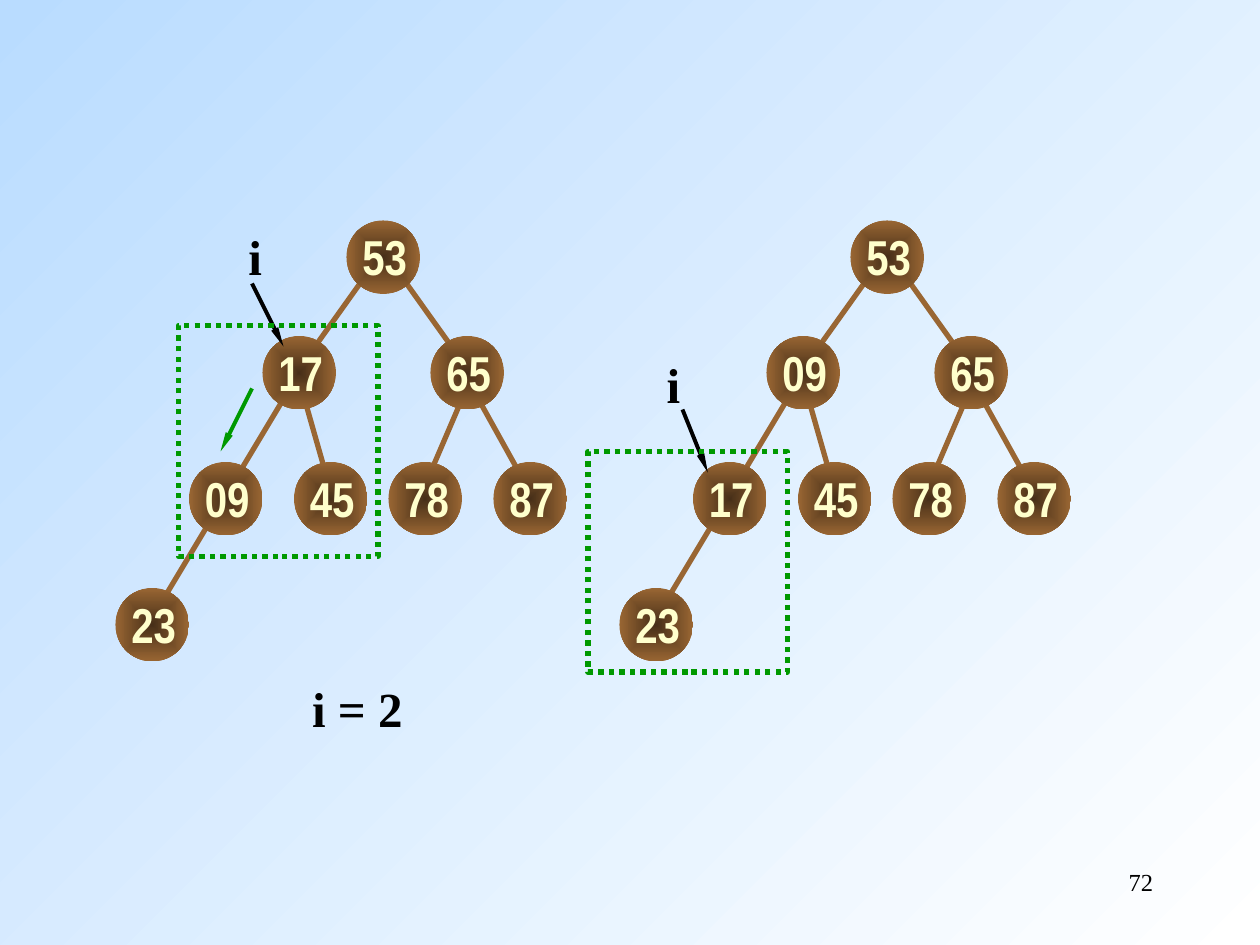
from dataclasses import dataclass

from lxml import etree
from pptx import Presentation
from pptx.dml.color import RGBColor
from pptx.enum.dml import MSO_LINE
from pptx.enum.shapes import MSO_CONNECTOR, MSO_SHAPE
from pptx.enum.text import MSO_ANCHOR, MSO_AUTO_SIZE, PP_ALIGN
from pptx.oxml.ns import qn
from pptx.util import Pt

STRAIGHT = MSO_CONNECTOR.STRAIGHT
OVAL, RECTANGLE = MSO_SHAPE.OVAL, MSO_SHAPE.RECTANGLE
DOTTED = MSO_LINE.ROUND_DOT
CENTER, RIGHT = PP_ALIGN.CENTER, PP_ALIGN.RIGHT
MIDDLE = MSO_ANCHOR.MIDDLE
FIT_TEXT = MSO_AUTO_SIZE.SHAPE_TO_FIT_TEXT


@dataclass(frozen=True)
class Theme:
    sky: str = "B9DCFF"
    white: str = "FFFFFF"
    ink: str = "000000"
    bark: str = "996633"
    core: str = "472F18"
    cream: str = "FFFFCC"
    green: str = "009900"
    key_font: str = "Arial Narrow"
    text_font: str = "Times New Roman"
    label_size: int = 28
    number_size: int = 14
    thick: float = 3
    thin: float = 2.25


THEME = Theme()
NODE_SIZE = 42
LABEL_HEIGHT = 41
KEY_SHIFT, KEY_WIDTH = 2, 39.6
TREE_STEP = 288

NODES = [(198, 126), (150, 192), (246, 192), (108, 264),
         (168, 264), (222, 264), (282, 264), (66, 336)]
EDGES = [((270, 222), (300, 276)), ((264, 228), (246, 270)),
         ((228, 156), (258, 198)), ((174, 228), (186, 270)),
         ((210, 156), (180, 198)), ((162, 228), (90, 348))]
KEYS_BEFORE = ["53", "17", "65", "09", "45", "78", "87", "23"]
KEYS_AFTER = ["53", "09", "65", "17", "45", "78", "87", "23"]


def rgb(color):
    return RGBColor.from_string(color)


def set_gradient(fill, first, last):
    fill.gradient()
    for stop, color, position in zip(fill.gradient_stops, (first, last), (0, 1)):
        stop.color.rgb = rgb(color)
        stop.position = position


def add_line(slide, start, end, color, width):
    line = slide.shapes.add_connector(STRAIGHT, *map(Pt, start + end))
    line.line.color.rgb = rgb(color)
    line.line.width = Pt(width)
    etree.SubElement(line._element.spPr, qn("a:effectLst"))
    return line


def add_arrow(slide, start, end, color):
    arrow = add_line(slide, start, end, color, THEME.thin)
    etree.SubElement(arrow.line._get_or_add_ln(), qn("a:tailEnd"),
                     type="triangle", w="sm", len="lg")


def add_node(slide, left, top):
    node = slide.shapes.add_shape(OVAL, Pt(left), Pt(top), Pt(NODE_SIZE), Pt(NODE_SIZE))
    node.shadow.inherit = False
    node.line.fill.background()
    set_gradient(node.fill, THEME.core, THEME.bark)
    gradient = node._element.spPr.find(qn("a:gradFill"))
    gradient.remove(gradient.find(qn("a:lin")))
    radial = etree.SubElement(gradient, qn("a:path"), path="rect")
    etree.SubElement(radial, qn("a:fillToRect"), l="50000", t="50000", r="50000", b="50000")


def add_text(slide, text, left, top, width, height, font, size, color, align):
    box = slide.shapes.add_textbox(Pt(left), Pt(top), Pt(width), Pt(height))
    frame = box.text_frame
    frame.word_wrap = True
    frame.text = text
    paragraph = frame.paragraphs[0]
    paragraph.alignment = align
    run_font = paragraph.runs[0].font
    run_font.name = font
    run_font.size = Pt(size)
    run_font.color.rgb = rgb(color)
    return box


def add_label(slide, text, left, top, width, font=THEME.text_font, color=THEME.ink):
    label = add_text(slide, text, left, top, width, LABEL_HEIGHT,
                     font, THEME.label_size, color, CENTER)
    frame = label.text_frame
    frame.word_wrap = False
    frame.auto_size = FIT_TEXT
    frame.vertical_anchor = MIDDLE
    frame.margin_left = frame.margin_right = 0
    frame.paragraphs[0].runs[0].font.bold = True


def add_tree(slide, shift, keys):
    for (x1, y1), (x2, y2) in EDGES:
        add_line(slide, (x1 + shift, y1), (x2 + shift, y2), THEME.bark, THEME.thick)
    for left, top in NODES:
        add_node(slide, left + shift, top)
    for key, (left, top) in zip(keys, NODES):
        add_label(slide, key, left + shift + KEY_SHIFT, top, KEY_WIDTH,
                  THEME.key_font, THEME.cream)


def add_focus(slide, left, top, width, height):
    focus = slide.shapes.add_shape(RECTANGLE, Pt(left), Pt(top), Pt(width), Pt(height))
    focus.shadow.inherit = False
    focus.fill.background()
    focus.line.color.rgb = rgb(THEME.green)
    focus.line.width = Pt(THEME.thick)
    focus.line.dash_style = DOTTED


def main():
    presentation = Presentation()
    presentation.slide_width, presentation.slide_height = Pt(720), Pt(540)
    slide = presentation.slides.add_slide(presentation.slide_layouts[6])
    background = slide.background.fill
    set_gradient(background, THEME.sky, THEME.white)
    background.gradient_angle = 315

    add_text(slide, "72", 516, 492, 150, 36,
             THEME.text_font, THEME.number_size, THEME.ink, RIGHT)
    add_tree(slide, 0, KEYS_BEFORE)
    add_tree(slide, TREE_STEP, KEYS_AFTER)

    add_arrow(slide, (144, 162), (162, 198), THEME.ink)
    add_label(slide, "i", 134.6, 126, 22.3)
    add_focus(slide, 102, 186, 114, 132)
    add_label(slide, "i = 2", 171.4, 384, 65.5)
    add_arrow(slide, (390, 234), (404.5, 270), THEME.ink)
    add_label(slide, "i", 373.7, 198.7, 22.3)
    add_focus(slide, 336, 258, 114, 126)
    add_arrow(slide, (144, 222), (126, 258), THEME.green)

    presentation.save("out.pptx")


if __name__ == "__main__":
    main()
